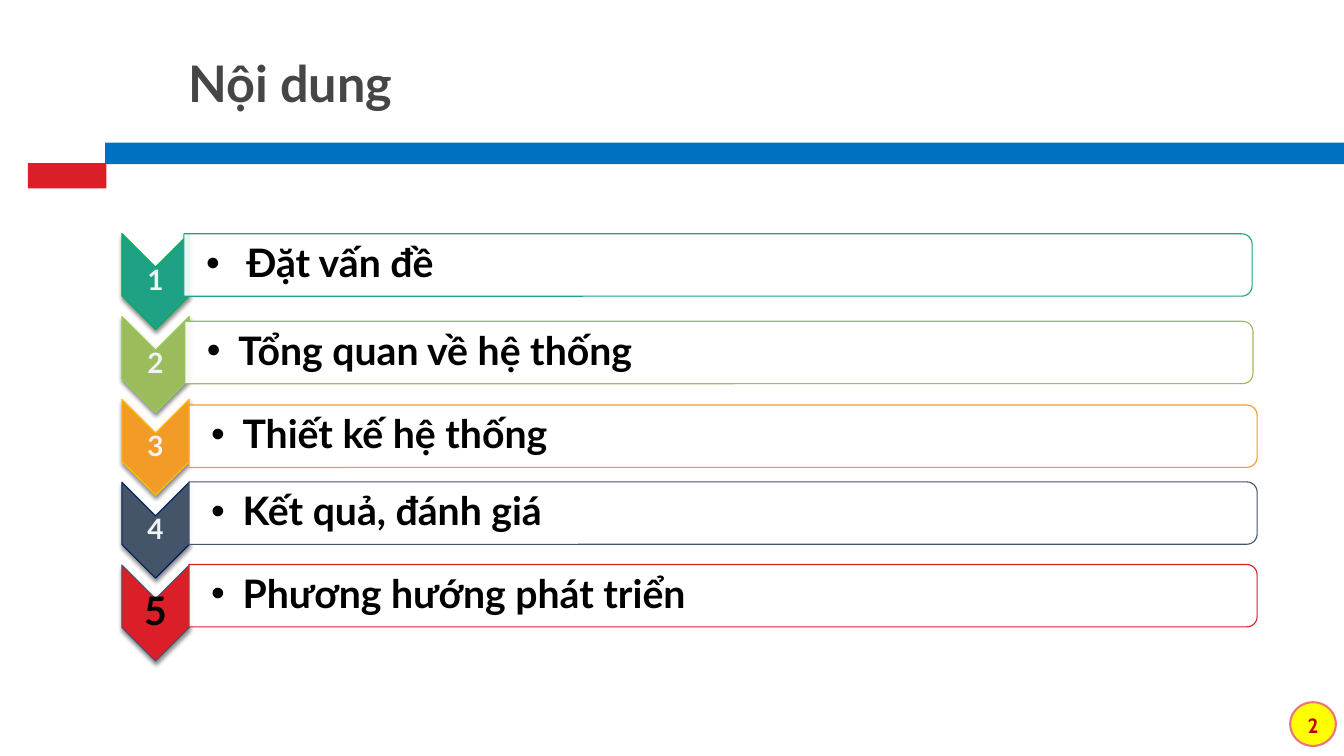
from lxml import etree
from pptx import Presentation
from pptx.dml.color import RGBColor
from pptx.enum.shapes import MSO_SHAPE
from pptx.enum.text import MSO_ANCHOR, PP_ALIGN
from pptx.oxml.ns import qn
from pptx.util import Pt

RECT, OVAL = MSO_SHAPE.RECTANGLE, MSO_SHAPE.OVAL
CHEVRON, TAB = MSO_SHAPE.CHEVRON, MSO_SHAPE.ROUND_2_SAME_RECTANGLE
TOP, MIDDLE = MSO_ANCHOR.TOP, MSO_ANCHOR.MIDDLE
LEFT, CENTER = PP_ALIGN.LEFT, PP_ALIGN.CENTER

WHITE = RGBColor(0xFF, 0xFF, 0xFF)
BLACK = RGBColor(0x00, 0x00, 0x00)
PALE = RGBColor(0xF2, 0xF2, 0xF2)
GRAY = RGBColor(0x46, 0x46, 0x46)
RED = RGBColor(0xDA, 0x1F, 0x28)
DARK_RED = RGBColor(0xC0, 0x00, 0x00)
PINK = RGBColor(0xEC, 0x76, 0x7C)
YELLOW = RGBColor(0xFF, 0xFF, 0x00)
BLUE = RGBColor(0x00, 0x70, 0xC0)
TEAL = RGBColor(0x1E, 0xA1, 0x85)
GREEN = RGBColor(0x00, 0xB0, 0x50)
OLIVE = RGBColor(0x9B, 0xBB, 0x5C)
LIME = RGBColor(0x92, 0xD0, 0x50)
ORANGE = RGBColor(0xF2, 0x9B, 0x26)
GOLD = RGBColor(0xFF, 0xC0, 0x00)
SLATE = RGBColor(0x44, 0x54, 0x69)
NAVY = RGBColor(0x00, 0x20, 0x60)

prs = Presentation()
prs.slide_width, prs.slide_height = Pt(960), Pt(540)
s = prs.slides.add_slide(prs.slide_layouts[6])


def add_shape(kind, x, y, w, h, fill, line=None, weight=0.79, rotation=0):
    sp = s.shapes.add_shape(kind, Pt(x), Pt(y), Pt(w), Pt(h))
    sp.shadow.inherit = False
    sp.rotation = rotation
    sp.fill.solid()
    sp.fill.fore_color.rgb = fill
    if line is None:
        sp.line.fill.background()
    else:
        sp.line.color.rgb = line
        sp.line.width = Pt(weight)
    return sp


def add_text(text, x, y, w, h, size, color, font="Lato", align=LEFT, anchor=TOP,
             insets=(7.2, 3.6, 7.2, 3.6), spacing=None, hanging=0, wrap=True):
    tf = s.shapes.add_textbox(Pt(x), Pt(y), Pt(w), Pt(h)).text_frame
    tf.word_wrap = wrap
    tf.vertical_anchor = anchor
    tf.margin_left, tf.margin_top, tf.margin_right, tf.margin_bottom = map(Pt, insets)
    p = tf.paragraphs[0]
    p.alignment = align
    if spacing:
        p.line_spacing = spacing
    if hanging:
        pPr = p._p.get_or_add_pPr()
        pPr.set("marL", str(Pt(hanging)))
        pPr.set("indent", str(-Pt(hanging)))
        etree.SubElement(pPr, qn("a:buFont"), typeface="Arial")
        etree.SubElement(pPr, qn("a:buChar"), char="•")
    r = p.add_run()
    r.text = text
    r.font.name, r.font.size, r.font.bold = font, Pt(size), True
    r.font.color.rgb = color


# Header bars and page number
add_shape(RECT, 20, 116.5, 56, 18, RED)
add_shape(RECT, 75, 102, 885, 15.3, BLUE)
add_shape(OVAL, 921.6, 501.6, 32.6, 31.2, YELLOW, PINK, weight=1.5)
add_text("2", 921.6, 505.4, 32.6, 25.2, 14.7, DARK_RED, font="Cabin",
         align=CENTER, wrap=False)

# Title
add_text("Nội dung", 127.4, 33.8, 703.4, 59, 36, GRAY)

# Agenda: label, fill, chevron outline, bar left, bar top, number size and colour, indent
rows = [
    ("Đặt vấn đề", TEAL, GREEN, 131.4, 167, 20, PALE, 28.8),
    ("Tổng quan về hệ thống", OLIVE, LIME, 132, 229.5, 20, PALE, 22.5),
    ("Thiết kế hệ thống", ORANGE, GOLD, 135, 289.3, 20, PALE, 22.5),
    ("Kết quả, đánh giá", SLATE, NAVY, 135, 344.2, 20, PALE, 22.5),
    ("Phương hướng phát triển", RED, SLATE, 135, 403.2, 28, BLACK, 22.5),
]
PITCH = 59.2
BAR_W, BAR_H = 763, 44.6

for i, (label, fill, outline, x, y, size, color, hanging) in enumerate(rows):
    # Numbered chevron with a soft shadow
    sp = add_shape(CHEVRON, 76.8, 177 + i * PITCH, 68.6, 48.2, fill, outline, rotation=90)
    effects = sp._element.spPr.find(qn("a:effectLst"))
    shadow = etree.SubElement(effects, qn("a:outerShdw"), blurRad=str(Pt(3)),
                              dist=str(Pt(2.4)), dir="5400000", rotWithShape="0")
    clr = etree.SubElement(shadow, qn("a:srgbClr"), val=str(BLACK))
    etree.SubElement(clr, qn("a:alpha"), val="45000")
    add_text(str(i + 1), 87, 190.8 + i * PITCH, 48.2, 20.9, size, color, align=CENTER,
             anchor=MIDDLE, insets=(1, 1, 1, 1), spacing=0.9)

    # Bar turned on its side, so its rounded end points right
    sp = add_shape(TAB, x + (BAR_W - BAR_H) / 2, y - (BAR_W - BAR_H) / 2, BAR_H, BAR_W,
                   WHITE, fill, rotation=90)
    clr = sp._element.spPr.find(qn("a:solidFill"))[0]
    etree.SubElement(clr, qn("a:alpha"), val="90000")
    add_text(label, x, y + 2.2, 761, 40.3, 28, BLACK, anchor=MIDDLE,
             insets=(15.8, 1.4, 1.4, 1.4), spacing=0.9, hanging=hanging)

prs.save("out.pptx")
